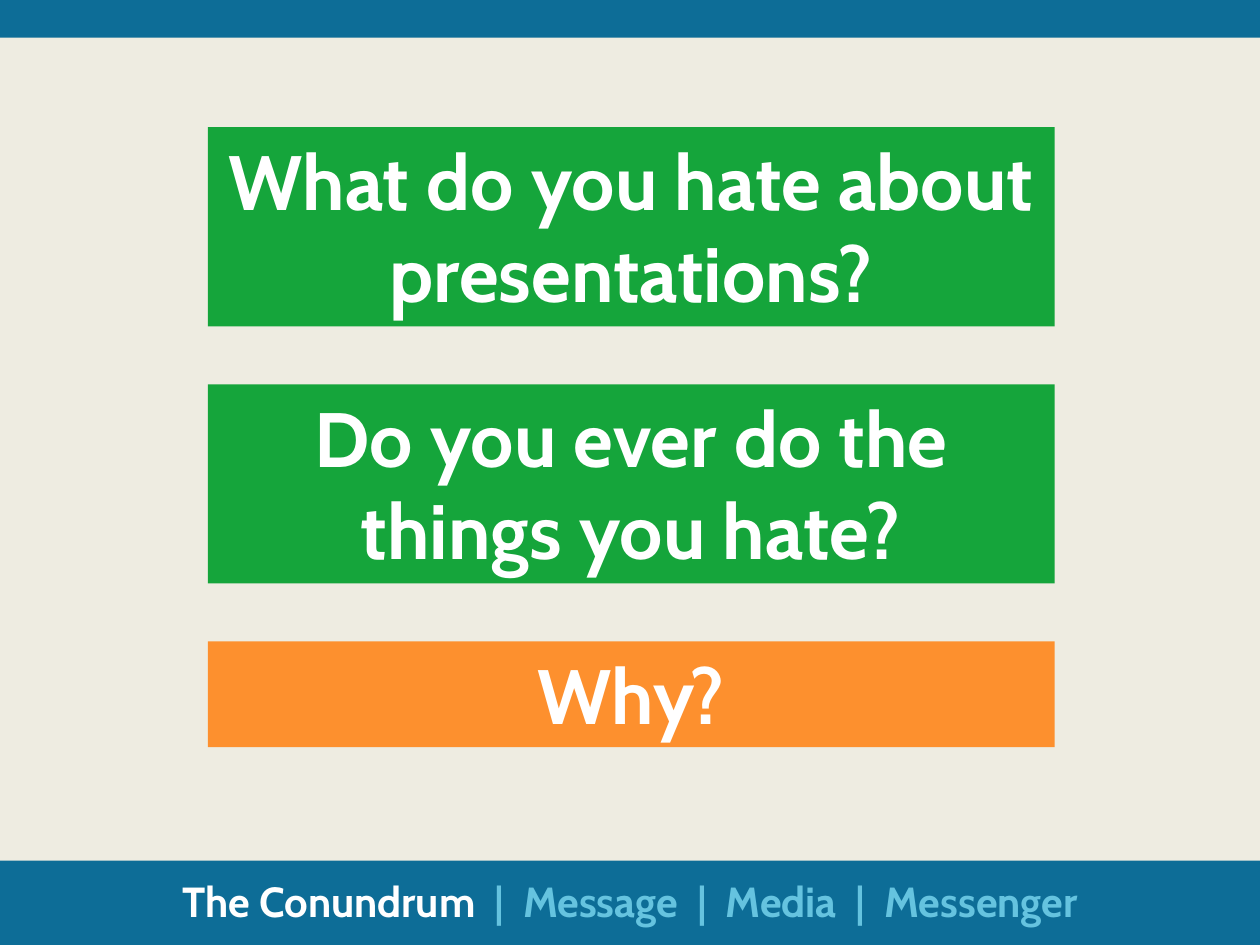
"""Build a slide with three stacked questions and a section tracker."""
import pptx
import pptx.dml.color
import pptx.enum.shapes
import pptx.enum.text
import pptx.util

Pt = pptx.util.Pt
COLORS = {
    "background": "EEECE1",
    "bar": "0D6D97",
    "question": "15A53B",
    "why": "FD902E",
    "active": "FFFFFF",
    "inactive": "65C3DF",
}
SLIDE_WIDTH, SLIDE_HEIGHT = 720, 540
QUESTION_LEFT, QUESTION_TOP, QUESTION_WIDTH, QUESTION_GAP = 118.8, 72.72, 483.84, 33.12
QUESTIONS = [
    ("What do you hate about presentations?", 113.76, "question"),
    ("Do you ever do the things you hate?", 113.76, "question"),
    ("Why?", 60.48, "why"),
]
SECTIONS = ["The Conundrum", "Message", "Media", "Messenger"]
SEPARATOR = "  |  "


def rgb(name):
    return pptx.dml.color.RGBColor.from_string(COLORS[name])


def add_rectangle(slide, left, top, width, height, color):
    shape = slide.shapes.add_shape(
        pptx.enum.shapes.MSO_SHAPE.RECTANGLE, Pt(left), Pt(top), Pt(width), Pt(height)
    )
    shape.shadow.inherit = False
    shape.fill.solid()
    shape.fill.fore_color.rgb = rgb(color)
    shape.line.fill.background()
    return shape


def format_text(shape, size):
    frame = shape.text_frame
    frame.word_wrap = True
    frame.vertical_anchor = pptx.enum.text.MSO_ANCHOR.TOP
    paragraph = frame.paragraphs[0]
    paragraph.alignment = pptx.enum.text.PP_ALIGN.CENTER
    paragraph.font.name = "Cabin"
    paragraph.font.size = Pt(size)
    paragraph.font.bold = True
    paragraph.font.color.rgb = rgb("active")
    return paragraph


def add_questions(slide):
    top = QUESTION_TOP
    for text, height, color in QUESTIONS:
        shape = add_rectangle(slide, QUESTION_LEFT, top, QUESTION_WIDTH, height, color)
        format_text(shape, 44).add_run().text = text
        top += height + QUESTION_GAP


def add_tracker(slide):
    box = slide.shapes.add_textbox(Pt(36), Pt(496.8), Pt(648), Pt(36))
    paragraph = format_text(box, 24)
    paragraph.add_run().text = SECTIONS[0]
    upcoming = paragraph.add_run()
    upcoming.text = SEPARATOR + SEPARATOR.join(SECTIONS[1:])
    upcoming.font.color.rgb = rgb("inactive")


def main():
    presentation = pptx.Presentation()
    presentation.slide_width = Pt(SLIDE_WIDTH)
    presentation.slide_height = Pt(SLIDE_HEIGHT)
    slide = presentation.slides.add_slide(presentation.slide_layouts[6])
    slide.background.fill.solid()
    slide.background.fill.fore_color.rgb = rgb("background")
    for top, height in [(491.76, 48.24), (0, 21.6)]:
        add_rectangle(slide, 0, top, SLIDE_WIDTH, height, "bar")
    add_questions(slide)
    add_tracker(slide)
    presentation.save("out.pptx")


if __name__ == "__main__":
    main()
